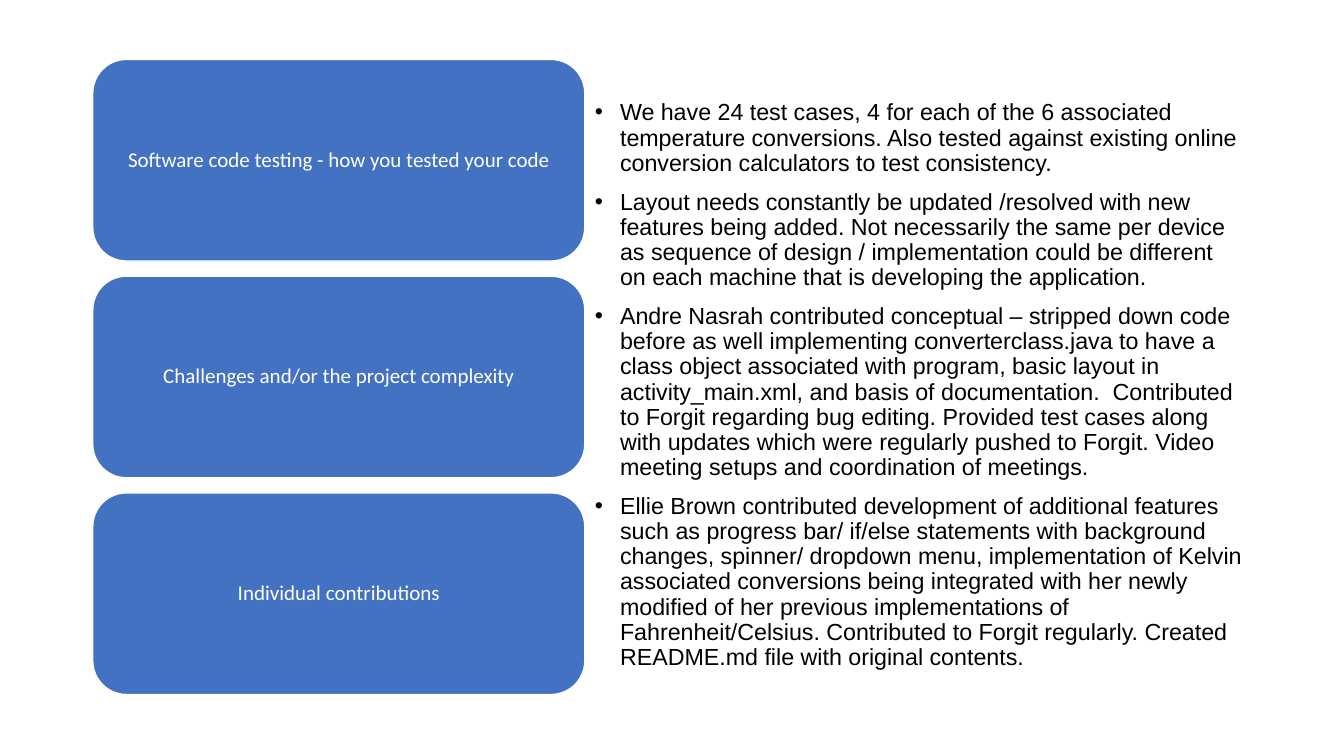
"""Builds a slide of three project topics beside a bulleted summary."""
from dataclasses import dataclass

import lxml.etree
import pptx
import pptx.dml.color
import pptx.enum.shapes
import pptx.enum.text
import pptx.oxml.ns
import pptx.util

Inches = pptx.util.Inches

TOPICS = [
    "Software code testing - how you tested your code",
    "Challenges and/or the project complexity",
    "Individual contributions",
]
POINTS = [
    "We have 24 test cases, 4 for each of the 6 associated temperature conversions. "
    "Also tested against existing online conversion calculators to test consistency.",
    "Layout needs constantly be updated /resolved with new features being added. "
    "Not necessarily the same per device as sequence of design / implementation "
    "could be different on each machine that is developing the application.",
    "Andre Nasrah contributed conceptual – stripped down code before as well "
    "implementing converterclass.java to have a class object associated with program, "
    "basic layout in activity_main.xml, and basis of documentation.  Contributed to "
    "Forgit regarding bug editing. Provided test cases along with updates which were "
    "regularly pushed to Forgit. Video meeting setups and coordination of meetings.",
    "Ellie Brown contributed development of additional features such as progress bar/ "
    "if/else statements with background changes, spinner/ dropdown menu, implementation "
    "of Kelvin associated conversions being integrated with her newly modified of her "
    "previous implementations of Fahrenheit/Celsius. Contributed to Forgit regularly. "
    "Created README.md file with original contents.",
]


@dataclass(frozen=True)
class Theme:
    """Colours, fonts and type sizes."""
    card: str = "4372C3"
    light: str = "FFFFFF"
    dark: str = "000000"
    card_font: str = "Calibri"
    body_font: str = "Arial"
    card_size: float = 15
    body_size: float = 16.6


THEME = Theme()
LEFT, TOP = 0.92, 0.59
CARD_WIDTH, CARD_HEIGHT, CARD_GAP = 4.88, 2, 0.15
BODY_WIDTH, BODY_HEIGHT = 6.62, 6.35
LINE_SPACING = 0.9


def rgb(value):
    """Returns a colour object."""
    return pptx.dml.color.RGBColor.from_string(value)


def add_span(para, text, font, size, color):
    """Adds one formatted run."""
    span = para.add_run()
    span.text = text
    span.font.name = font
    span.font.size = pptx.util.Pt(size)
    span.font.color.rgb = rgb(color)


def add_bullet(para):
    """Gives a paragraph a hanging round bullet."""
    props = para._p.get_or_add_pPr()
    props.set("marL", str(Inches(0.25)))
    props.set("indent", str(Inches(-0.25)))
    color = lxml.etree.SubElement(props, pptx.oxml.ns.qn("a:buClr"))
    lxml.etree.SubElement(color, pptx.oxml.ns.qn("a:srgbClr"), val=THEME.dark)
    lxml.etree.SubElement(props, pptx.oxml.ns.qn("a:buFont"), typeface=THEME.body_font)
    lxml.etree.SubElement(props, pptx.oxml.ns.qn("a:buChar"), char="•")


def fill_body(box):
    """Places the body and writes its points."""
    box.left, box.top = Inches(LEFT + CARD_WIDTH), Inches(TOP)
    box.width, box.height = Inches(BODY_WIDTH), Inches(BODY_HEIGHT)
    frame = box.text_frame
    frame.word_wrap = True
    frame.auto_size = pptx.enum.text.MSO_AUTO_SIZE.NONE
    frame.vertical_anchor = pptx.enum.text.MSO_ANCHOR.TOP
    frame.margin_left = frame.margin_right = Inches(0.1)
    frame.margin_top, frame.margin_bottom = Inches(0.41), Inches(0.05)
    for index, point in enumerate(POINTS):
        para = frame.add_paragraph() if index else frame.paragraphs[0]
        para.line_spacing = LINE_SPACING
        para.space_before = pptx.util.Pt(10 if index else 0)
        add_bullet(para)
        add_span(para, point, THEME.body_font, THEME.body_size, THEME.dark)


def add_card(page, index, topic):
    """Adds one topic card to the column."""
    box = page.shapes.add_shape(
        pptx.enum.shapes.MSO_SHAPE.ROUNDED_RECTANGLE,
        Inches(LEFT), Inches(TOP + index * (CARD_HEIGHT + CARD_GAP)),
        Inches(CARD_WIDTH), Inches(CARD_HEIGHT))
    box.shadow.inherit = False
    box.fill.solid()
    box.fill.fore_color.rgb = rgb(THEME.card)
    box.line.color.rgb = rgb(THEME.light)
    box.line.width = pptx.util.Pt(1)
    frame = box.text_frame
    frame.word_wrap = True
    frame.vertical_anchor = pptx.enum.text.MSO_ANCHOR.MIDDLE
    frame.margin_left = frame.margin_right = 0
    para = frame.paragraphs[0]
    para.alignment = pptx.enum.text.PP_ALIGN.CENTER
    para.line_spacing = LINE_SPACING
    add_span(para, topic, THEME.card_font, THEME.card_size, THEME.light)


def main():
    """Builds and saves the deck."""
    deck = pptx.Presentation()
    deck.slide_width, deck.slide_height = Inches(13.33), Inches(7.5)
    page = deck.slides.add_slide(deck.slide_layouts[1])
    title = page.shapes.title
    title.element.getparent().remove(title.element)
    fill_body(page.placeholders[1])
    for index, topic in enumerate(TOPICS):
        add_card(page, index, topic)
    deck.save("out.pptx")


if __name__ == "__main__":
    main()
